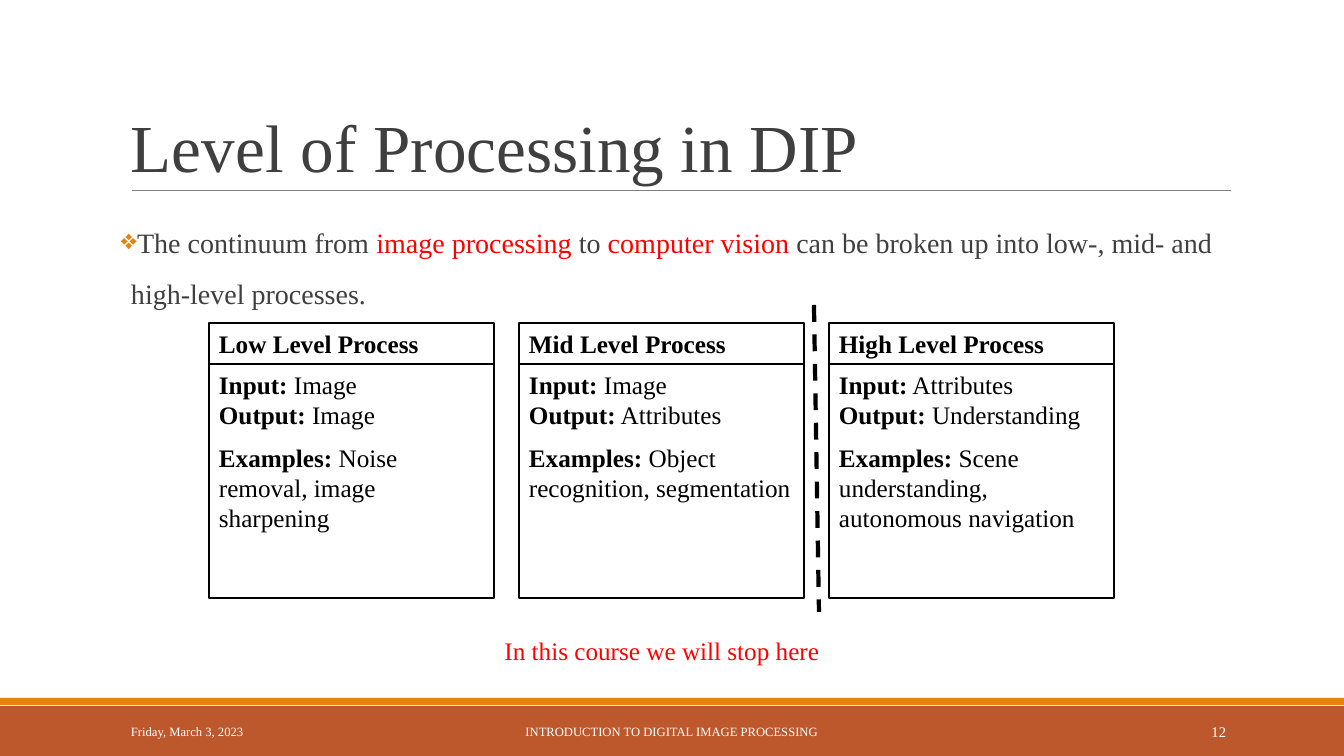
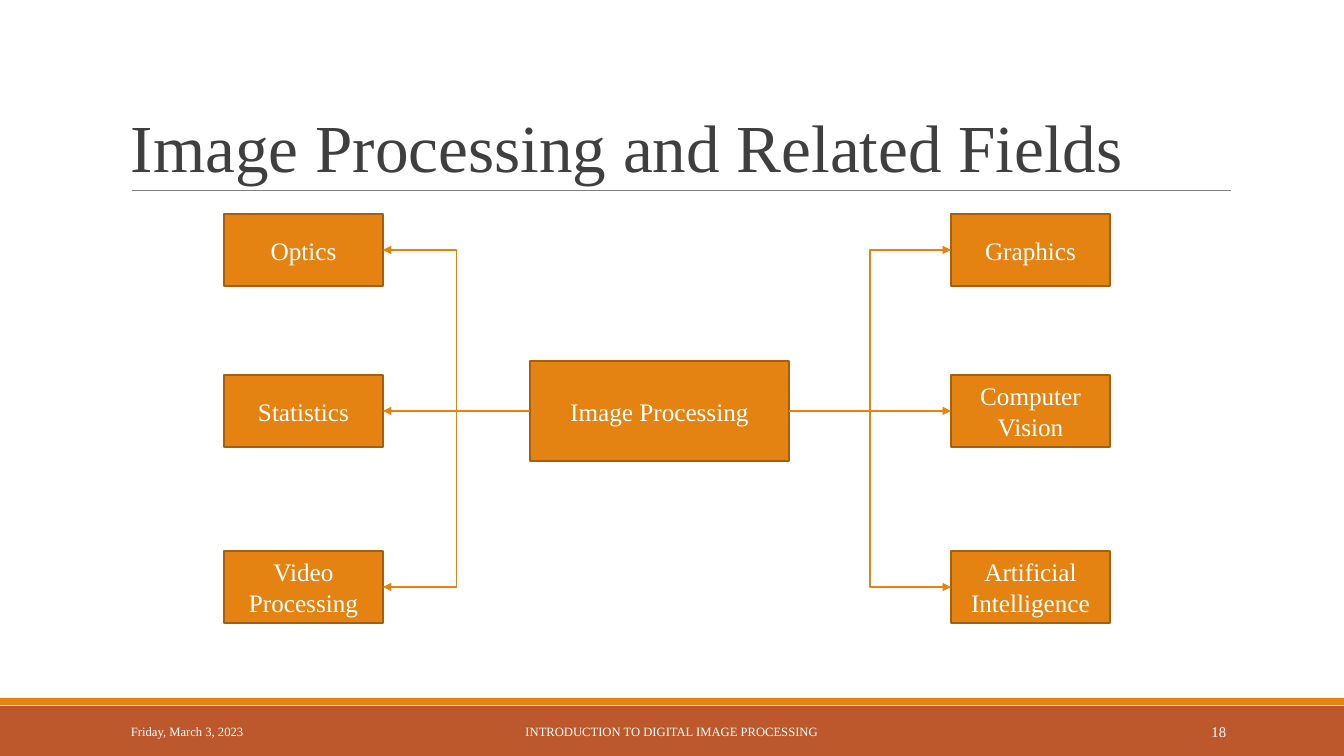
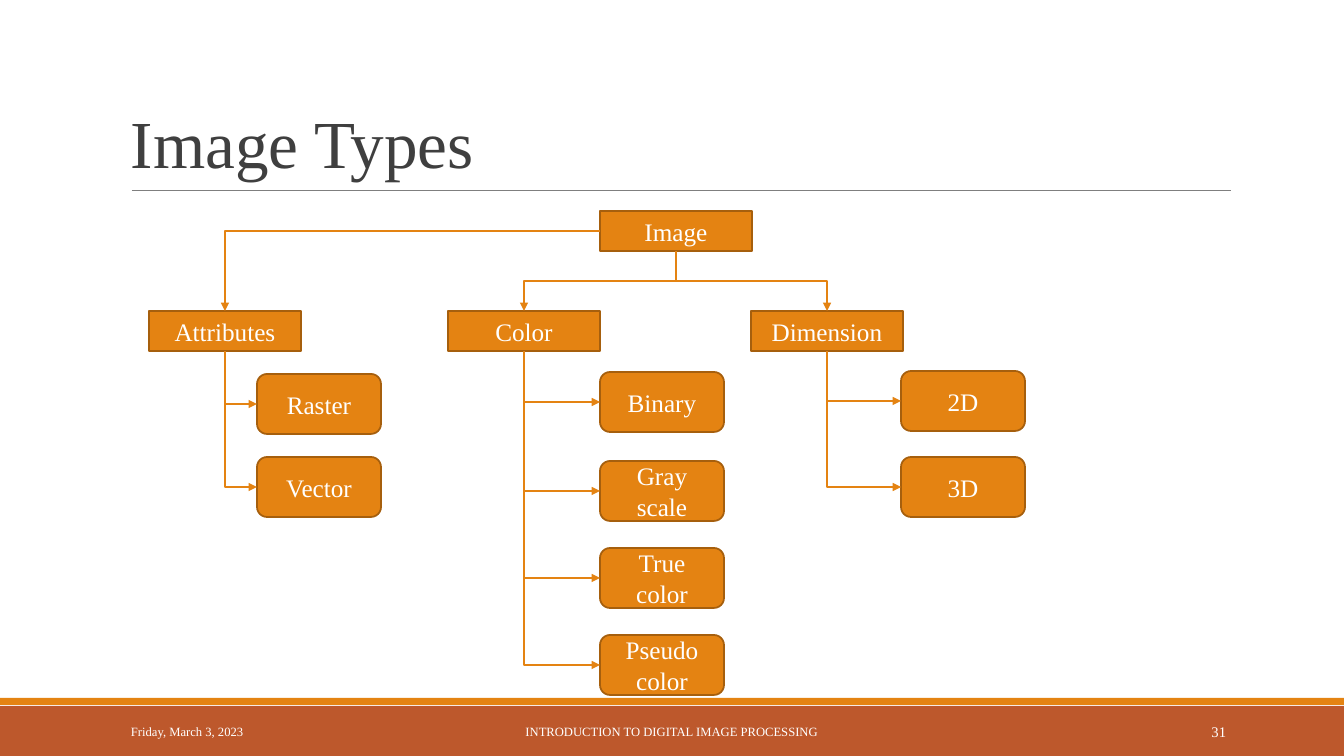
from lxml import etree
from pptx import Presentation
from pptx import util as u
from pptx.dml.color import RGBColor
from pptx.enum import dml, shapes, text
from pptx.oxml.ns import qn

# Shared look
PX = 914400 / 100.8
FACE = "Times New Roman"
ORANGE, EDGE, RUST = "E48312", "A65F0D", "BD582C"
INK, GRAY, RED, BLACK, WHITE = "3F3F3F", "7F7F7F", "FF0000", "000000", "FFFFFF"
LEFT, MID, RIGHT = text.PP_ALIGN.LEFT, text.PP_ALIGN.CENTER, text.PP_ALIGN.RIGHT
RECT = shapes.MSO_SHAPE.RECTANGLE
ROUND = shapes.MSO_SHAPE.ROUNDED_RECTANGLE
BENT, LINE = shapes.MSO_CONNECTOR.ELBOW, shapes.MSO_CONNECTOR.STRAIGHT
TOP_SIDE, LEFT_SIDE, BASE_SIDE, RIGHT_SIDE = range(4)


def px(n):
    return u.Emu(round(n * PX))


def hue(code):
    return RGBColor.from_string(code)


def style(para, size, color, align=LEFT):
    para.alignment = align
    para.font.name = FACE
    para.font.size = u.Pt(size)
    para.font.color.rgb = hue(color)


def frame(shape, anchor):
    body = shape.text_frame
    body.word_wrap = True
    body.vertical_anchor = anchor
    body.margin_left = body.margin_right = px(10)
    body.margin_top = body.margin_bottom = px(5)
    return body


# Kinds of element
def label(slide, area, words, size, color, align=LEFT, anchor=text.MSO_ANCHOR.MIDDLE):
    body = frame(slide.shapes.add_textbox(*map(px, area)), anchor)
    para = body.paragraphs[0]
    para.text = words
    style(para, size, color, align)
    return body


def box(slide, area, fill, edge=None, width=1.25, kind=RECT):
    shape = slide.shapes.add_shape(kind, *map(px, area))
    shape.shadow.inherit = False
    shape.fill.solid()
    shape.fill.fore_color.rgb = hue(fill)
    if edge:
        shape.line.color.rgb = hue(edge)
        shape.line.width = u.Pt(width)
    else:
        shape.line.fill.background()
    return shape


def node(slide, area, words, kind=RECT):
    shape = box(slide, area, ORANGE, EDGE, kind=kind)
    para = frame(shape, text.MSO_ANCHOR.MIDDLE).paragraphs[0]
    para.text = words
    style(para, 18, WHITE, MID)
    return shape


def rule(slide, ends, color, width, kind=LINE):
    line = slide.shapes.add_connector(kind, *map(px, ends))
    line.line.color.rgb = hue(color)
    line.line.width = u.Pt(width)
    etree.SubElement(line._element.spPr, qn("a:effectLst"))
    return line


def turn(line):
    """Make a bent connector leave its start downwards."""
    wide, high = line.width, line.height
    form = line._element.spPr.find(qn("a:xfrm"))
    right = line.end_x > line.begin_x
    for key in ("flipH", "flipV"):
        form.attrib.pop(key, None)
    form.set("rot", "16200000" if right else "5400000")
    if right:
        form.set("flipH", "1")
    line.left += (wide - high) // 2
    line.top += (high - wide) // 2
    line.width, line.height = high, wide


def arrow(slide, start, out, end, into, kind=BENT):
    line = rule(slide, (0, 0, 0, 0), ORANGE, 1, kind)
    line.begin_connect(start, out)
    line.end_connect(end, into)
    props = line._element.spPr
    if kind == BENT:
        if (out + into) % 2:
            props.find(qn("a:prstGeom")).set("prst", "bentConnector2")
        if out == BASE_SIDE:
            turn(line)
    etree.SubElement(props.find(qn("a:ln")), qn("a:tailEnd"), type="triangle")


def rich(para, parts):
    """Add (words, bold) runs; None breaks the line."""
    for part in parts:
        if part is None:
            para.add_line_break()
            continue
        run = para.add_run()
        run.text, run.font.bold = part
    style(para, 18, BLACK)


def card(slide, x, y, head, source, result, cases):
    name = box(slide, (x, y, 285, 41), WHITE, BLACK, 1)
    main = box(slide, (x, y + 41, 285, 234), WHITE, BLACK, 1)
    for shape in (name, main):
        tint = shape._element.spPr.find(".//" + qn("a:srgbClr"))
        etree.SubElement(tint, qn("a:alpha"), val="70000")
    rich(frame(name, text.MSO_ANCHOR.TOP).paragraphs[0], [(head, True)])
    body = frame(main, text.MSO_ANCHOR.TOP)
    rich(body.paragraphs[0], [("Input:", True), (" " + source, False), None,
                              ("Output:", True), (" " + result, False)])
    para = body.add_paragraph()
    para.space_before = u.Pt(9)
    rich(para, [("Examples:", True), (" " + cases, False)])


def bullet(para):
    props = para._p.get_or_add_pPr()
    props.set("marL", str(px(10)))
    props.set("indent", str(px(-14)))
    tint = etree.SubElement(props, qn("a:buClr"))
    etree.SubElement(tint, qn("a:srgbClr"), val=ORANGE)
    etree.SubElement(props, qn("a:buChar"), char="❖")


def page(deck, title, number, top=31):
    slide = deck.slides.add_slide(deck.slide_layouts[5])
    # Bands and title rule
    box(slide, (0, 706, 1344, 50), RUST)
    box(slide, (0, 698, 1344, 7), ORANGE)
    rule(slide, (132, 191, 1231, 191), GRAY, 0.75)
    # Title
    head = slide.shapes.title
    head.left, head.top, head.width, head.height = map(px, (121, top, 1109, 160))
    para = frame(head, text.MSO_ANCHOR.BOTTOM).paragraphs[0]
    para.text = title
    para.line_spacing = 0.85
    style(para, 48, INK)
    # Footer
    label(slide, (121, 712, 272, 40), "Friday, March 3, 2023", 9, WHITE)
    label(slide, (406, 712, 531, 40), "INTRODUCTION TO DIGITAL IMAGE PROCESSING",
          9, WHITE, MID)
    label(slide, (1092, 712, 144, 40), str(number), 10.5, WHITE, RIGHT)
    return slide


# Slides
def levels(deck):
    slide = page(deck, "Level of Processing in DIP", 12)
    body = label(slide, (121, 204, 1109, 444), "", 20, INK,
                 anchor=text.MSO_ANCHOR.TOP)
    body.margin_left = body.margin_right = 0
    para = body.paragraphs[0]
    para._p.remove(para._p.pPr)
    para.line_spacing = 1.5
    bullet(para)
    style(para, 20, INK)
    for words, color in (
            ("The continuum from ", INK), ("image processing ", RED),
            ("to ", INK), ("computer vision ", RED),
            ("can be broken up into low-, mid- and high-level processes.", INK)):
        run = para.add_run()
        run.text = words
        run.font.color.rgb = hue(color)
    cards = (
        ("Low Level Process", "Image", "Image", "Noise removal, image sharpening"),
        ("Mid Level Process", "Image", "Attributes",
         "Object recognition, segmentation"),
        ("High Level Process", "Attributes", "Understanding",
         "Scene understanding, autonomous navigation"))
    for i, words in enumerate(cards):
        card(slide, 209 + 310 * i, 323, *words)
    label(slide, (470, 630, 384, 40), "In this course we will stop here", 18, RED,
          MID, text.MSO_ANCHOR.TOP)
    stop = rule(slide, (814, 305, 819, 612), BLACK, 3)
    stop.line.dash_style = dml.MSO_LINE.DASH


def fields(deck):
    slide = page(deck, "Image Processing and Related Fields", 18)
    hub = node(slide, (530, 361, 259, 100), "Image Processing")
    sides = (
        (224, LEFT_SIDE, RIGHT_SIDE, ("Optics", "Statistics", "Video Processing")),
        (951, RIGHT_SIDE, LEFT_SIDE,
         ("Graphics", "Computer Vision", "Artificial Intelligence")))
    for x, out, into, names in sides:
        for y, name in zip((214, 375, 551), names):
            field = node(slide, (x, y, 159, 72), name)
            arrow(slide, hub, out, field, into, LINE if y == 375 else BENT)


def types(deck):
    slide = page(deck, "Image Types", 31, 27)
    root = node(slide, (600, 211, 152, 40), "Image")
    groups = (
        ("Attributes", 149, LEFT_SIDE, 257, (("Raster", 374), ("Vector", 457))),
        ("Color", 448, BASE_SIDE, 600,
         (("Binary", 372), ("Gray scale", 461), ("True color", 548),
          ("Pseudo color", 635))),
        ("Dimension", 751, BASE_SIDE, 901, (("2D", 371), ("3D", 457))))
    for name, x, out, inset, leaves in groups:
        head = node(slide, (x, 311, 152, 40), name)
        arrow(slide, root, out, head, TOP_SIDE)
        for word, y in leaves:
            leaf = node(slide, (inset, y, 124, 60), word, ROUND)
            arrow(slide, head, BASE_SIDE, leaf, LEFT_SIDE)


def main():
    deck = Presentation()
    deck.slide_width, deck.slide_height = px(1344), px(756)
    levels(deck)
    fields(deck)
    types(deck)
    deck.save("out.pptx")


if __name__ == "__main__":
    main()
